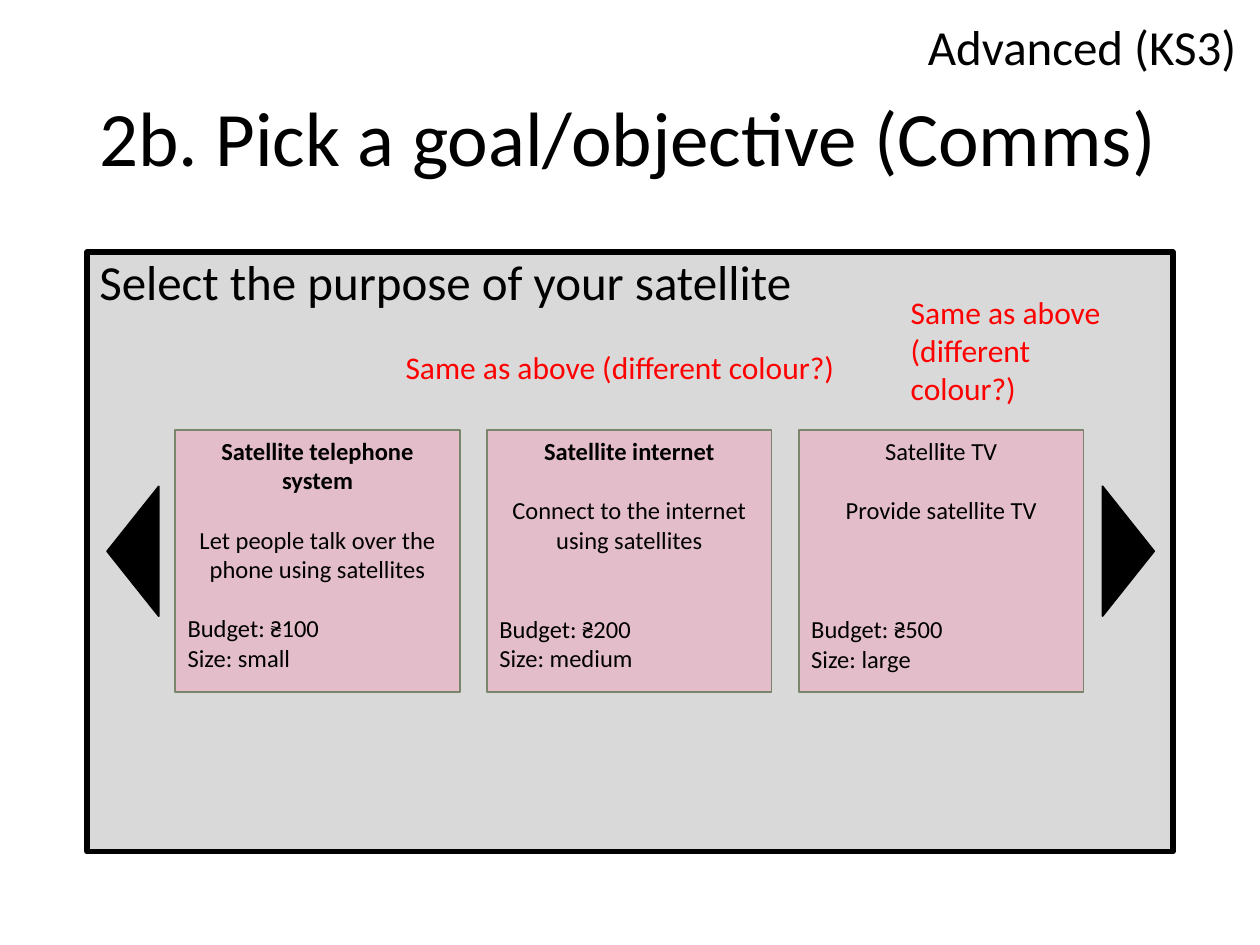
"""Build the slide on picking a goal for a communications satellite."""
from pptx import Presentation
from pptx.dml.color import RGBColor
from pptx.enum.shapes import MSO_SHAPE
from pptx.enum.text import MSO_ANCHOR, PP_ALIGN
from pptx.util import Inches, Pt

BLACK = RGBColor(0x00, 0x00, 0x00)
RED = RGBColor(0xFF, 0x00, 0x00)
GREY = RGBColor(0xD9, 0xD9, 0xD9)
PINK = RGBColor(0xE3, 0xBE, 0xCA)
OLIVE = RGBColor(0x7A, 0x86, 0x6C)

FONT = "Calibri"
LEFT, MID, RIGHT = PP_ALIGN.LEFT, PP_ALIGN.CENTER, PP_ALIGN.RIGHT
TOP = MSO_ANCHOR.TOP
NOTE = "Same as above (different colour?)"

LABELS = [
    ("Advanced (KS3)", (6.95, 0.08, 2.96, 0.57), 28, BLACK, RIGHT, TOP, 1),
    ("2b. Pick a goal/objective (Comms)", (0.69, 0.4, 8.62, 1.45), 44, BLACK,
     LEFT, MSO_ANCHOR.MIDDLE, 0.9),
    (NOTE, (3.12, 2.71, 4.79, 0.4), 18, RED, LEFT, TOP, 1),
    (NOTE, (7.13, 2.28, 1.83, 1.01), 18, RED, LEFT, TOP, 1),
]
PANEL = ("Select the purpose of your satellite", (0.69, 2, 8.62, 4.76))
CARDS = [
    ([("Satellite telephone system", True)],
     "Let people talk over the phone using satellites", 1, "₴100", "small"),
    ([("Satellite internet", True)],
     "Connect to the internet using satellites", 2, "₴200", "medium"),
    ([("Satell", False), ("i", True), ("te TV", False)],
     "Provide satellite TV", 3, "₴500", "large"),
]
CARD_X, CARD_Y, CARD_W, CARD_H, STEP = 1.39, 3.41, 2.26, 2.08, 2.475
ARROWS = [(8.44, 90), (0.54, 270)]
SIZE, LINE = 14, 17.1

deck = Presentation()
deck.slide_width, deck.slide_height = Inches(10), Inches(7.5)
slide = deck.slides.add_slide(deck.slide_layouts[6])


def write(para, runs, size, color=BLACK, align=LEFT, lead=1, gap=0):
    para.alignment = align
    para.line_spacing = lead
    para.space_before = Pt(gap)
    for text, bold in runs:
        run = para.add_run()
        run.text = text
        font = run.font
        font.name, font.size, font.bold = FONT, Pt(size), bold
        font.color.rgb = color


def draw(kind, box, fill, edge, width):
    shape = slide.shapes.add_shape(kind, *map(Inches, box))
    shape.shadow.inherit = False
    shape.fill.solid()
    shape.fill.fore_color.rgb = fill
    shape.line.color.rgb = edge
    shape.line.width = Pt(width)
    shape.text_frame.word_wrap = True
    shape.text_frame.vertical_anchor = TOP
    return shape


title, box = PANEL
panel = draw(MSO_SHAPE.RECTANGLE, box, GREY, BLACK, 3)
write(panel.text_frame.paragraphs[0], [(title, False)], 28, lead=0.9)

for col, (name, goal, skip, cost, size) in enumerate(CARDS):
    box = (CARD_X + col * STEP, CARD_Y, CARD_W, CARD_H)
    frame = draw(MSO_SHAPE.RECTANGLE, box, PINK, OLIVE, 1).text_frame
    rows = [
        (name, MID, 0),
        ([(goal, False)], MID, 1),
        ([("Budget: " + cost, False)], LEFT, skip),
        ([("Size: " + size, False)], LEFT, 0),
    ]
    for row, (runs, align, blank) in enumerate(rows):
        para = frame.add_paragraph() if row else frame.paragraphs[0]
        write(para, runs, SIZE, align=align, gap=blank * LINE)

for left, turn in ARROWS:
    box = (left, 4.17, 1.03, 0.41)
    draw(MSO_SHAPE.ISOSCELES_TRIANGLE, box, BLACK, BLACK, 1).rotation = turn

for text, box, size, color, align, anchor, lead in LABELS:
    frame = slide.shapes.add_textbox(*map(Inches, box)).text_frame
    frame.word_wrap = True
    frame.vertical_anchor = anchor
    write(frame.paragraphs[0], [(text, False)], size, color, align, lead)

deck.save("out.pptx")
